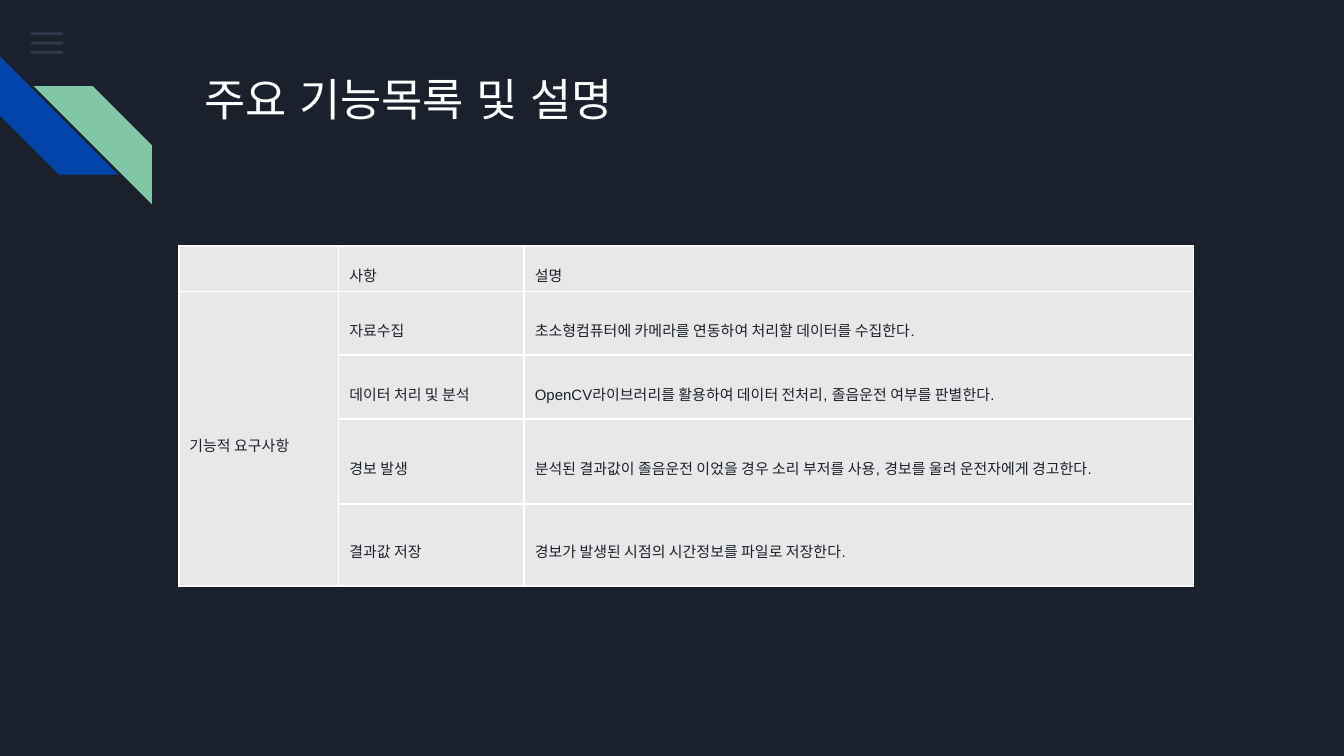
"""Build a slide listing the main functions and their descriptions."""
from typing import NamedTuple

from lxml import etree
from pptx import Presentation
from pptx import util as u
from pptx.dml.color import RGBColor
from pptx.enum import shapes, text
from pptx.oxml import ns

NAVY, WHITE, GREY, SLATE = "1B212C", "FFFFFF", "E8E8E8", "55688B"
FONT = "Arial"


class Box(NamedTuple):
    left: float
    top: float
    width: float
    height: float

    def emu(self) -> list:
        return [u.Inches(v) for v in self]


class Stripe(NamedTuple):
    box: Box
    color: str
    rotation: int
    flipped: bool


class Row(NamedTuple):
    height: float
    cells: tuple


STRIPES = [
    Stripe(Box(0, 0.42, 0.88, 0.88), "0145AC", 270, False),
    Stripe(Box(0.25, 0.64, 0.88, 0.88), "82C7A5", 0, True),
]
COLUMNS = [1.19, 1.38, 4.98]
ROWS = [
    Row(0.34, ("", "사항", "설명")),
    Row(0.47, ("기능적 요구사항", "자료수집",
               "초소형컴퓨터에 카메라를 연동하여 처리할 데이터를 수집한다.")),
    Row(0.48, ("", "데이터 처리 및 분석",
               "OpenCV라이브러리를 활용하여 데이터 전처리, 졸음운전 여부를 판별한다.")),
    Row(0.63, ("", "경보 발생",
               "분석된 결과값이 졸음운전 이었을 경우 소리 부저를 사용, 경보를 울려 운전자에게 경고한다.")),
    Row(0.61, ("", "결과값 저장",
               "경보가 발생된 시점의 시간정보를 파일로 저장한다.")),
]


def paint(fill, color: str) -> None:
    fill.solid()
    fill.fore_color.rgb = RGBColor.from_string(color)


def add_child(parent, tag: str, **attrs: str):
    return etree.SubElement(parent, ns.qn(tag), attrs)


def style_font(p, size: float, color: str) -> None:
    for item in (p, *p.runs):
        item.font.name = FONT
        item.font.size = u.Pt(size)
        item.font.bold = False
        item.font.color.rgb = RGBColor.from_string(color)


def add_filled(s, kind, box: Box, color: str):
    sp = s.shapes.add_shape(kind, *box.emu())
    sp.shadow.inherit = False
    paint(sp.fill, color)
    sp.line.fill.background()
    return sp


def add_menu_icon(s) -> None:
    for i in range(3):
        sp = add_filled(s, shapes.MSO_SHAPE.RECTANGLE,
                        Box(0.23, 0.24 + 0.07 * i, 0.24, 0.02), SLATE)
        color = sp._element.spPr.find(".//" + ns.qn("a:srgbClr"))
        add_child(color, "a:alpha", val="36000")


def add_stripe(s, stripe: Stripe) -> None:
    sp = add_filled(s, shapes.MSO_SHAPE.DIAGONAL_STRIPE, stripe.box, stripe.color)
    sp.adjustments[0] = 0.5
    sp.rotation = stripe.rotation
    if stripe.flipped:
        sp._element.spPr.find(ns.qn("a:xfrm")).set("flipH", "1")


def set_title(s, title: str) -> None:
    sp = s.shapes.title
    sp.left, sp.top, sp.width, sp.height = Box(1.42, 0.43, 7.7, 1).emu()
    tf = sp.text_frame
    tf.text = title
    tf.word_wrap = True
    tf.auto_size = text.MSO_AUTO_SIZE.NONE
    tf.vertical_anchor = text.MSO_ANCHOR.TOP
    tf.margin_left = tf.margin_right = tf.margin_top = tf.margin_bottom = u.Inches(0.1)
    p = tf.paragraphs[0]
    p.alignment = text.PP_ALIGN.LEFT
    style_font(p, 24, WHITE)
    add_child(p.runs[0].font._element, "a:ea", typeface=FONT)


def style_cell(cell, words: str) -> None:
    cell.text = words
    cell.vertical_anchor = text.MSO_ANCHOR.MIDDLE
    cell.margin_left = cell.margin_right = u.Inches(0.08)
    cell.margin_top = cell.margin_bottom = u.Inches(0.04)
    p = cell.text_frame.paragraphs[0]
    p.alignment = text.PP_ALIGN.JUSTIFY
    p.line_spacing = 1.6
    style_font(p, 8, NAVY)
    for side in "LRTB":
        line = add_child(cell._tc.tcPr, f"a:ln{side}", w=str(u.Pt(1)))
        add_child(add_child(line, "a:solidFill"), "a:srgbClr", val=WHITE)
    paint(cell.fill, GREY)


def add_function_table(s) -> None:
    height = sum(row.height for row in ROWS)
    box = Box(1.33, 1.83, sum(COLUMNS), height)
    table = s.shapes.add_table(len(ROWS), len(COLUMNS), *box.emu()).table
    table.first_row = table.horz_banding = False
    for column, width in zip(table.columns, COLUMNS):
        column.width = u.Inches(width)
    for i, row in enumerate(ROWS):
        table.rows[i].height = u.Inches(row.height)
        for j, words in enumerate(row.cells):
            style_cell(table.cell(i, j), words)
    table.cell(1, 0).merge(table.cell(len(ROWS) - 1, 0))


def main() -> None:
    prs = Presentation()
    prs.slide_width = u.Inches(10)
    prs.slide_height = u.Inches(10 * 9 / 16)
    s = prs.slides.add_slide(prs.slide_layouts[5])
    paint(s.background.fill, NAVY)
    add_menu_icon(s)
    for stripe in STRIPES:
        add_stripe(s, stripe)
    set_title(s, "주요 기능목록 및 설명")
    add_function_table(s)
    prs.save("out.pptx")


if __name__ == "__main__":
    main()
